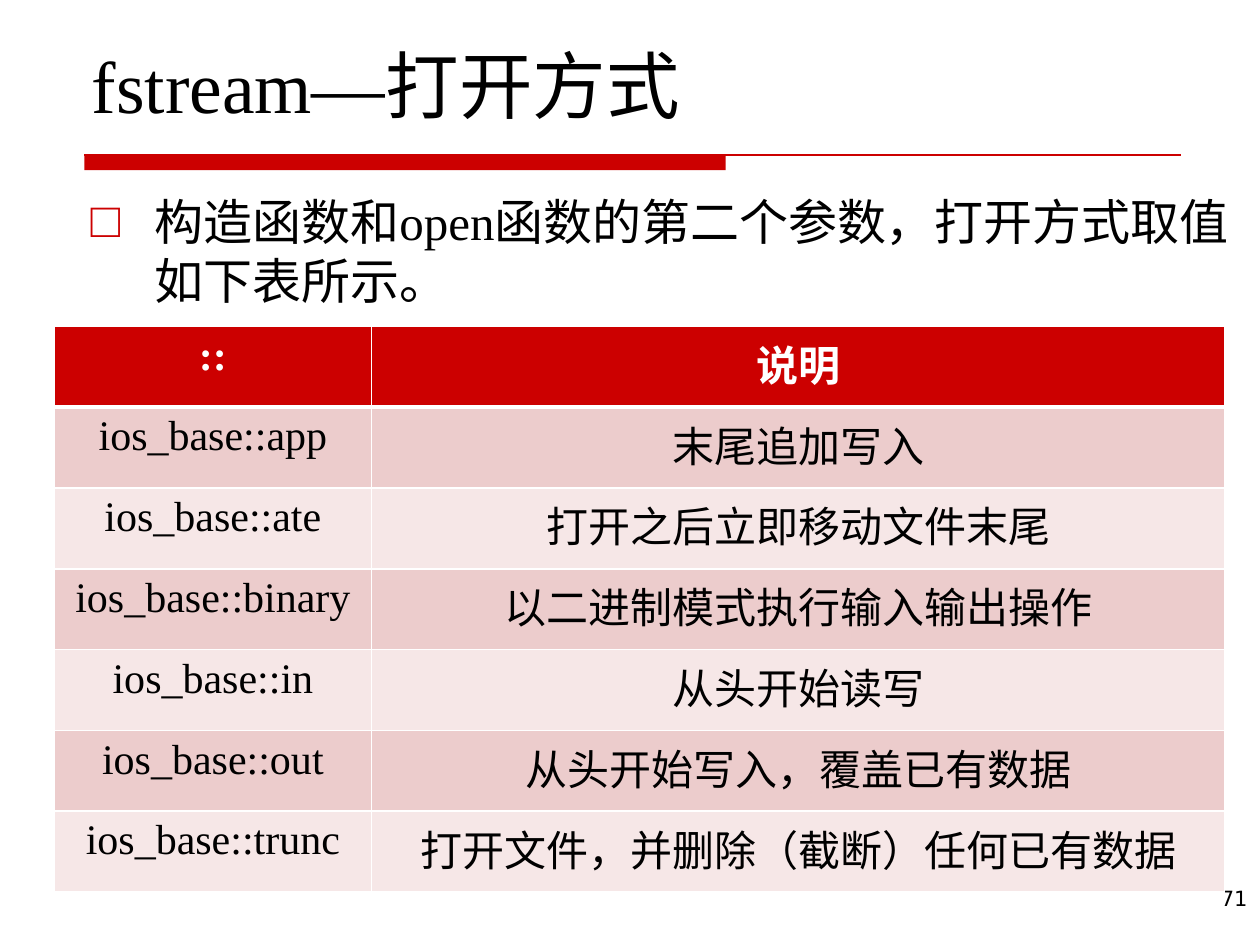
from lxml import etree
from pptx import Presentation
from pptx.dml.color import RGBColor
from pptx.enum.shapes import MSO_CONNECTOR, MSO_SHAPE
from pptx.enum.text import MSO_ANCHOR, PP_ALIGN
from pptx.oxml.ns import qn
from pptx.util import Inches, Pt

LEFT, CENTER, RIGHT = PP_ALIGN.LEFT, PP_ALIGN.CENTER, PP_ALIGN.RIGHT
TOP, BOTTOM = MSO_ANCHOR.TOP, MSO_ANCHOR.BOTTOM
RED, WHITE, BLACK = "CC0000", "FFFFFF", "000000"
BANDS = ("ECCCCC", "F6E7E7")
SERIF, SANS = "Times New Roman", "DejaVu Sans"

HEADER = ("::", "说明")
MODES = [
    ("ios_base::app", "末尾追加写入"),
    ("ios_base::ate", "打开之后立即移动文件末尾"),
    ("ios_base::binary", "以二进制模式执行输入输出操作"),
    ("ios_base::in", "从头开始读写"),
    ("ios_base::out", "从头开始写入，覆盖已有数据"),
    ("ios_base::trunc", "打开文件，并删除（截断）任何已有数据"),
]


def color(value):
    return RGBColor.from_string(value)


def paint(fill, value):
    fill.solid()
    fill.fore_color.rgb = color(value)


def write(paragraph, text, size, font=SERIF, ink=BLACK, align=LEFT, bold=False):
    paragraph.alignment = align
    run = paragraph.add_run()
    run.text = text
    run.font.size = Pt(size)
    run.font.name = font
    run.font.bold = bold
    run.font.color.rgb = color(ink)


def add_text(slide, left, top, width, height, text, size, anchor=TOP, **style):
    box = slide.shapes.add_textbox(
        Inches(left), Inches(top), Inches(width), Inches(height))
    box.text_frame.word_wrap = True
    box.text_frame.vertical_anchor = anchor
    paragraph = box.text_frame.paragraphs[0]
    write(paragraph, text, size, **style)
    return paragraph


def add_divider(slide, left, top, width):
    """Thin rule with a thick bar under its left part."""
    bar = slide.shapes.add_shape(
        MSO_SHAPE.RECTANGLE, Inches(left), Inches(top), Inches(5.09), Inches(0.12))
    bar.shadow.inherit = False
    paint(bar.fill, RED)
    bar.line.fill.background()
    rule = slide.shapes.add_connector(
        MSO_CONNECTOR.STRAIGHT, Inches(left), Inches(top),
        Inches(left + width), Inches(top))
    rule.line.color.rgb = color(RED)
    rule.line.width = Pt(0.75)
    etree.SubElement(rule._element.spPr, qn("a:effectLst"))


def add_bullet(paragraph, character, value, indent):
    properties = paragraph._p.get_or_add_pPr()
    properties.set("marL", str(Inches(indent)))
    properties.set("indent", str(-Inches(indent)))
    bullet_color = etree.SubElement(properties, qn("a:buClr"))
    etree.SubElement(bullet_color, qn("a:srgbClr"), val=value)
    etree.SubElement(properties, qn("a:buFont"), typeface=SERIF)
    etree.SubElement(properties, qn("a:buChar"), char=character)


def set_borders(cell, top_width, bottom_width):
    """Add the white cell borders, which must stand before the fill."""
    properties = cell._tc.get_or_add_tcPr()
    widths = {"L": 1, "R": 1, "T": top_width, "B": bottom_width}
    for position, (side, width) in enumerate(widths.items()):
        line = etree.Element(qn(f"a:ln{side}"), w=str(Pt(width)))
        fill = etree.SubElement(line, qn("a:solidFill"))
        etree.SubElement(fill, qn("a:srgbClr"), val=WHITE)
        properties.insert(position, line)


def add_mode_table(slide, left, top, width, height):
    rows = [HEADER] + MODES
    table = slide.shapes.add_table(
        len(rows), 2, Inches(left), Inches(top), Inches(width), Inches(height)).table
    name_width = 2.52
    table.columns[0].width = Inches(name_width)
    table.columns[1].width = Inches(width - name_width)
    for row_index, texts in enumerate(rows):
        is_header = row_index == 0
        table.rows[row_index].height = Inches(height / len(rows))
        for column_index, text in enumerate(texts):
            cell = table.cell(row_index, column_index)
            paint(cell.fill, RED if is_header else BANDS[(row_index - 1) % 2])
            set_borders(cell, 3 if row_index == 1 else 1, 3 if is_header else 1)
            write(cell.text_frame.paragraphs[0], text, 24, align=CENTER,
                  ink=WHITE if is_header else BLACK, bold=is_header)


def build_slide(presentation):
    slide = presentation.slides.add_slide(presentation.slide_layouts[6])
    add_divider(slide, 0.67, 1.23, 8.7)
    add_text(slide, 0.63, 0.33, 8.75, 0.74, "fstream—打开方式", 42, anchor=BOTTOM)
    intro = add_text(slide, 0.62, 1.47, 9.38, 1.1,
                     "构造函数和open函数的第二个参数，打开方式取值如下表所示。", 28)
    intro.space_before = Pt(2.8)
    add_bullet(intro, "□", RED, 0.51)
    add_text(slide, 7.86, 6.98, 2.14, 0.52, "71", 12, font=SANS, align=RIGHT)
    add_mode_table(slide, 0.43, 2.59, 9.29, 4.49)


def main():
    presentation = Presentation()
    presentation.slide_width = Inches(10)
    presentation.slide_height = Inches(7.5)
    build_slide(presentation)
    presentation.save("out.pptx")


if __name__ == "__main__":
    main()
